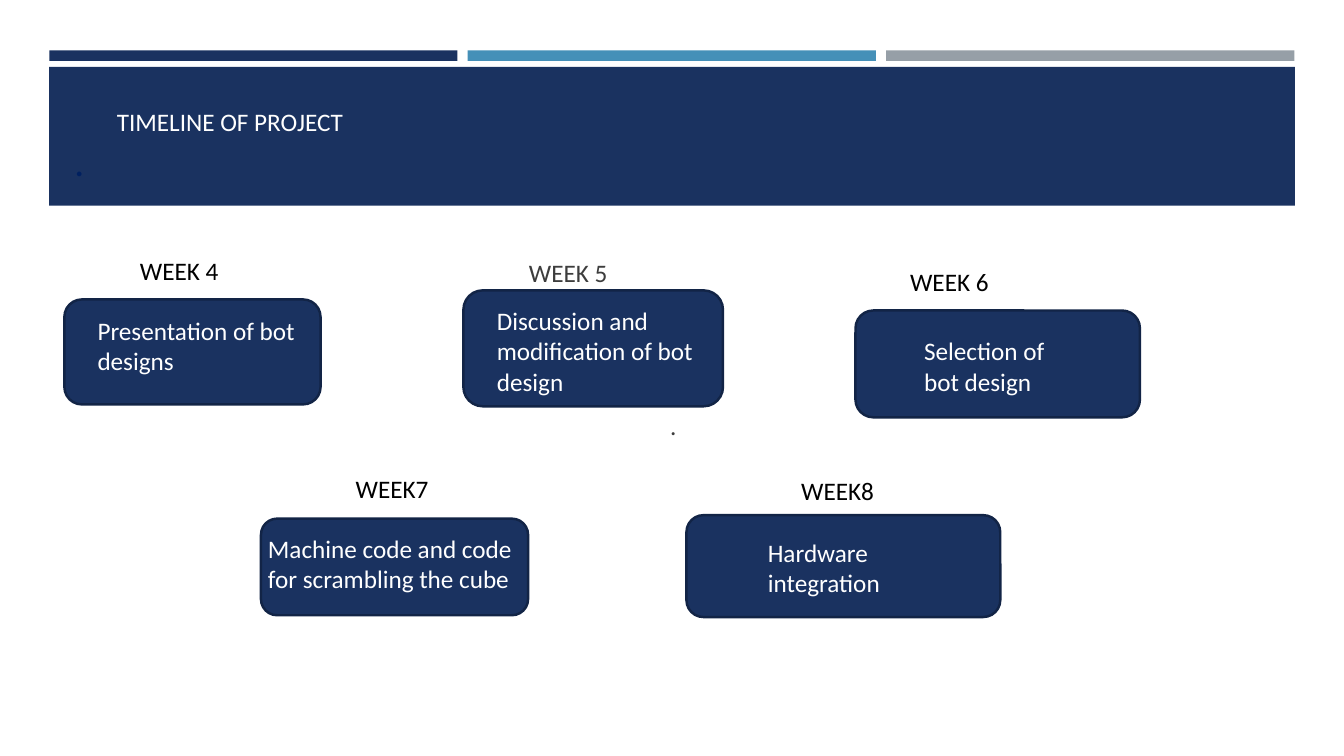
from pptx import Presentation
from pptx.dml.color import RGBColor
from pptx.enum.shapes import MSO_SHAPE
from pptx.enum.text import MSO_ANCHOR
from pptx.util import Pt

COLORS = {
    "navy": "1A3260", "blue": "4590B8", "gray": "969FA7", "outline": "122446",
    "white": "FFFFFF", "black": "000000", "charcoal": "3D3D3D", "dark blue": "002060",
}

deck = Presentation()
deck.slide_width, deck.slide_height = Pt(960), Pt(540)
slide = deck.slides.add_slide(deck.slide_layouts[6])


def add_block(kind, left, top, width, height, fill, outline=None):
    block = slide.shapes.add_shape(kind, Pt(left), Pt(top), Pt(width), Pt(height))
    block.shadow.inherit = False
    block.fill.solid()
    block.fill.fore_color.rgb = RGBColor.from_string(COLORS[fill])
    if outline:
        block.line.color.rgb = RGBColor.from_string(COLORS[outline])
        block.line.width = Pt(1.75)
    else:
        block.line.fill.background()


def add_text(text, left, top, width, height, color, size=18, anchor=MSO_ANCHOR.TOP):
    frame = slide.shapes.add_textbox(Pt(left), Pt(top), Pt(width), Pt(height)).text_frame
    frame.word_wrap = True
    frame.vertical_anchor = anchor
    paragraph = frame.paragraphs[0]
    paragraph.text = text
    paragraph.font.name = "Calibri"
    paragraph.font.size = Pt(size)
    paragraph.font.color.rgb = RGBColor.from_string(COLORS[color])


# Header: three stripes above a title band
for column, stripe_color in enumerate(["navy", "blue", "gray"]):
    add_block(MSO_SHAPE.RECTANGLE, 35.2 + column * 298.9, 36, 291.6, 7.5, stripe_color)
add_block(MSO_SHAPE.RECTANGLE, 35.2, 47.7, 889.8, 99.2, "navy")
add_text(".", 46, 57.6, 868.3, 77.8, "dark blue", 28, MSO_ANCHOR.BOTTOM)
add_text("TIMELINE OF PROJECT", 76.3, 72.7, 414, 29, "white")

# Weeks: label, label place and color, card place and size, task, task place and size
weeks = [
    ("WEEK 4", (92.9, 178.6), "black", (46, 213.9, 183, 75),
     "Presentation of bot designs", (62.6, 221.8, 160, 51)),
    ("WEEK 5", (370.8, 180.3), "charcoal", (331, 207.4, 185.4, 82.8),
     "Discussion and modification of bot design", (347.8, 214.6, 172, 73)),
    ("WEEK 6", (643, 186.5), "black", (611.1, 221.8, 203.2, 76.3),
     "Selection of bot design", (653, 236.2, 122.4, 51)),
    ("WEEK7", (247, 334.8), "black", (186.4, 370.5, 190.8, 69),
     "Machine code and code for scrambling the cube", (184.3, 377.3, 190.8, 51)),
    ("WEEK8", (565.2, 336.2), "black", (490.3, 368, 224.2, 72.8),
     "Hardware integration", (541.4, 380.2, 139.7, 51)),
]
for label, label_place, label_color, card, task, task_place in weeks:
    add_block(MSO_SHAPE.ROUNDED_RECTANGLE, *card, "navy", "outline")
    add_text(label, *label_place, 150, 29, label_color)
    add_text(task, *task_place, "white")

# Dot between the two rows
add_text(".", 471.6, 289.7, 427, 29, "charcoal")

deck.save("out.pptx")
